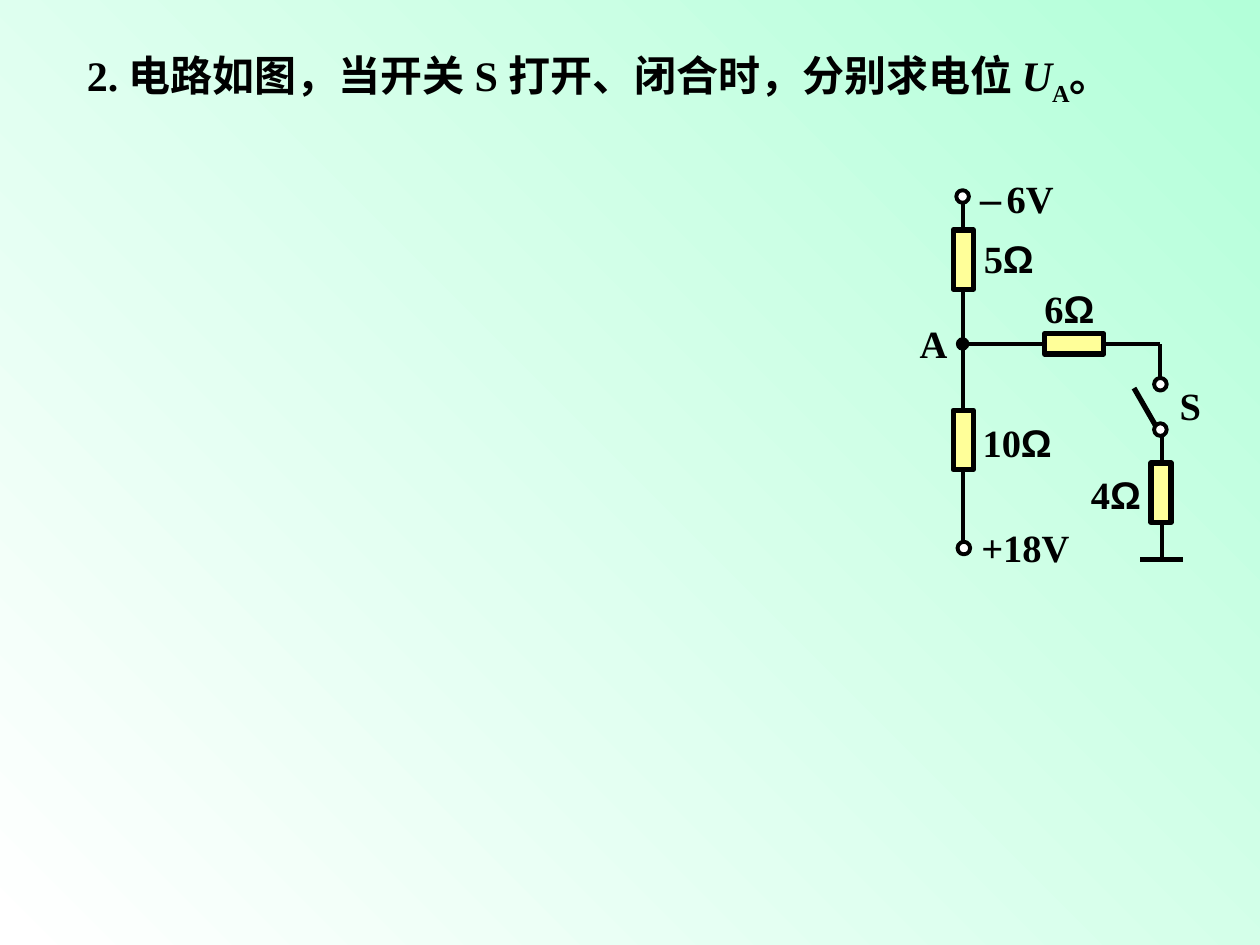
from typing import NamedTuple

from lxml import etree
from pptx import Presentation
from pptx.dml.color import RGBColor
from pptx.enum.shapes import MSO_CONNECTOR, MSO_SHAPE
from pptx.enum.text import MSO_ANCHOR, MSO_AUTO_SIZE, PP_ALIGN
from pptx.oxml.ns import qn
from pptx.util import Emu, Pt

EMU_PER_PX = 9144  # 100 px to the inch
TITLE_ONLY = 5
STRAIGHT = MSO_CONNECTOR.STRAIGHT
RECTANGLE, OVAL = MSO_SHAPE.RECTANGLE, MSO_SHAPE.OVAL
LEFT, RIGHT = PP_ALIGN.LEFT, PP_ALIGN.RIGHT
MIDDLE, TOP = MSO_ANCHOR.MIDDLE, MSO_ANCHOR.TOP
GROW, FIXED = MSO_AUTO_SIZE.SHAPE_TO_FIT_TEXT, MSO_AUTO_SIZE.NONE

BLACK, WHITE, YELLOW, MINT = "000000", "FFFFFF", "FFFF99", "B3FFD9"
SERIF, SANS = "Times New Roman", "Arial"
RESISTOR_LENGTH, RESISTOR_WIDTH = 47, 16
DOT = 10


class Span(NamedTuple):
    text: str
    size: int = 22
    font: str = SERIF
    italic: bool = False
    baseline: int = 0  # percent


class Wire(NamedTuple):
    x1: int
    y1: int
    x2: int
    y2: int
    weight: float = 2.25


class Resistor(NamedTuple):
    left: int
    top: int
    rotation: int = 270


class Node(NamedTuple):
    left: int
    top: int
    fill: str = WHITE
    weight: float = 2.25


class Label(NamedTuple):
    left: int
    top: int
    width: int
    height: int
    spans: list[Span]
    align: PP_ALIGN = LEFT


def px(*values: int) -> list[Emu]:
    return [Emu(value * EMU_PER_PX) for value in values]


def color(code: str) -> RGBColor:
    return RGBColor.from_string(code)


def ohms(value: int) -> list[Span]:
    return [Span(str(value)), Span("Ω", font=SANS)]


def write(box, spans: list[Span], align: PP_ALIGN, anchor: MSO_ANCHOR = TOP,
          auto_size: MSO_AUTO_SIZE = FIXED, line_spacing: float = 1.0) -> None:
    frame = box.text_frame
    left_inset, top_inset = px(10, 5)
    frame_format = {"word_wrap": True, "auto_size": auto_size, "vertical_anchor": anchor,
                    "margin_left": left_inset, "margin_right": left_inset,
                    "margin_top": top_inset, "margin_bottom": top_inset}
    for name, value in frame_format.items():
        setattr(frame, name, value)
    para = frame.paragraphs[0]
    para.alignment, para.line_spacing = align, line_spacing
    for span in spans:
        run = para.add_run()
        run.text = span.text
        font_format = {"name": span.font, "size": Pt(span.size),
                       "bold": True, "italic": span.italic}
        for name, value in font_format.items():
            setattr(run.font, name, value)
        run.font.color.rgb = color(BLACK)
        if span.baseline:
            run.font._element.set("baseline", str(span.baseline * 1000))


def draw_wire(circuit, wire: Wire) -> None:
    line = circuit.shapes.add_connector(STRAIGHT, *px(wire.x1, wire.y1, wire.x2, wire.y2))
    line.line.color.rgb = color(BLACK)
    line.line.width = Pt(wire.weight)
    etree.SubElement(line._element.spPr, qn("a:effectLst"))


def draw_shape(circuit, kind: MSO_SHAPE, bounds: list[Emu], fill: str,
               weight: float, rotation: int = 0) -> None:
    shape = circuit.shapes.add_shape(kind, *bounds)
    shape.rotation = rotation
    shape.shadow.inherit = False
    shape.fill.solid()
    shape.fill.fore_color.rgb = color(fill)
    shape.line.color.rgb = color(BLACK)
    shape.line.width = Pt(weight)


def draw_resistor(circuit, part: Resistor) -> None:
    bounds = px(part.left, part.top, RESISTOR_LENGTH, RESISTOR_WIDTH)
    draw_shape(circuit, RECTANGLE, bounds, YELLOW, 3, part.rotation)


def draw_node(circuit, node: Node) -> None:
    draw_shape(circuit, OVAL, px(node.left, node.top, DOT, DOT), node.fill, node.weight)


def draw_label(circuit, label: Label) -> None:
    box = circuit.shapes.add_textbox(*px(label.left, label.top, label.width, label.height))
    write(box, label.spans, label.align)


QUESTION = [
    Span("2. 电路如图，当开关 S 打开、闭合时，分别求电位 ", 24),
    Span("U", 24, italic=True),
    Span("A", 24, baseline=-25),
    Span("。", 24),
]
WIRES = [
    Wire(764, 158, 764, 431),     # main branch
    Wire(764, 273, 921, 273),     # from A to the switch branch
    Wire(921, 305, 921, 273),
    Wire(922, 442, 922, 342),
    Wire(919, 341, 900, 308, 3),  # switch blade
    Wire(905, 444, 939, 444, 3),  # ground
]
RESISTORS = [Resistor(741, 198), Resistor(741, 341), Resistor(898, 383), Resistor(829, 265, 0)]
NODES = [
    Node(759, 151), Node(760, 430),      # supply terminals
    Node(916, 300), Node(916, 336),      # switch contacts
    Node(759, 268, BLACK, 0.5),          # point A
]
LABELS = [
    Label(768, 131, 120, 63, [Span("–", 24), Span(" ", baseline=-30), Span("6V")]),
    Label(771, 182, 106, 74, ohms(5)),
    Label(819, 221, 100, 74, ohms(6)),
    Label(720, 249, 91, 60, [Span("A")]),
    Label(770, 328, 103, 74, ohms(10)),
    Label(895, 298, 68, 61, [Span("S")], RIGHT),
    Label(856, 369, 81, 62, ohms(4)),
    Label(769, 411, 120, 64, [Span("+18V")]),
]


def main() -> None:
    deck = Presentation()
    deck.slide_width, deck.slide_height = px(1000, 750)
    page = deck.slides.add_slide(deck.slide_layouts[TITLE_ONLY])

    # Background: mint at top right fading to white at bottom left
    backdrop = page.background.fill
    backdrop.gradient()
    backdrop.gradient_angle = 225
    for stop, code in zip(backdrop.gradient_stops, (MINT, WHITE)):
        stop.color.rgb = color(code)

    # Question
    title = page.shapes.title
    title.left, title.top, title.width, title.height = px(59, 25, 835, 65)
    write(title, QUESTION, LEFT, MIDDLE, GROW, 1.2)

    # Circuit
    circuit = page.shapes.add_group_shape()
    for draw, parts in ((draw_wire, WIRES), (draw_resistor, RESISTORS),
                        (draw_node, NODES), (draw_label, LABELS)):
        for part in parts:
            draw(circuit, part)

    deck.save("out.pptx")


if __name__ == "__main__":
    main()
